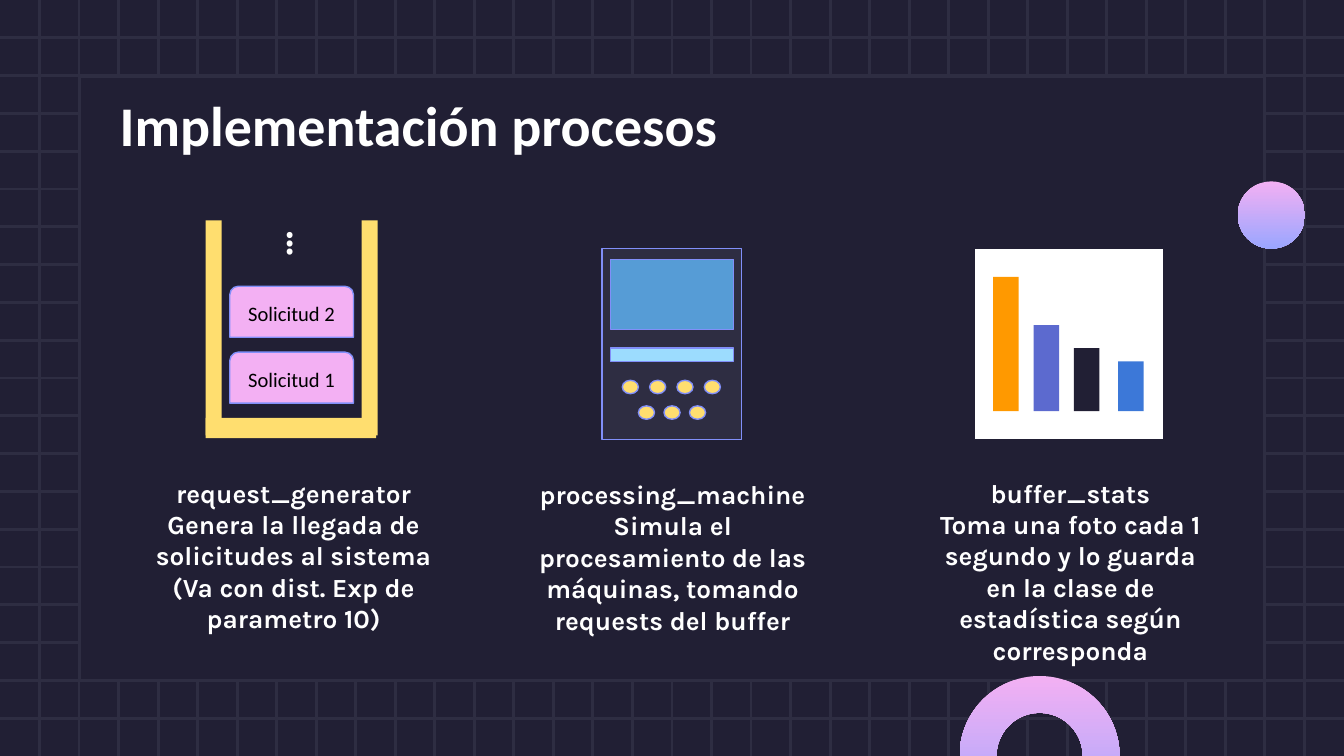
from dataclasses import dataclass

from lxml import etree
from pptx import Presentation
from pptx.dml.color import RGBColor
from pptx.enum.shapes import MSO_CONNECTOR as Connector, MSO_SHAPE as Shape
from pptx.enum.text import MSO_ANCHOR as Anchor, MSO_AUTO_SIZE as AutoSize, PP_ALIGN as Align
from pptx.oxml.ns import qn
from pptx.util import Inches, Pt


@dataclass(frozen=True)
class Theme:
    """Colours, fonts and type sizes of the slide."""
    background: str = "211F34"
    grid: str = "2E2D42"
    white: str = "FFFFFF"
    black: str = "000000"
    pink: str = "F3B0F3"
    lilac: str = "9AA6FF"
    outline: str = "818FF9"
    yellow: str = "FFDE6F"
    screen: str = "569CD6"
    slot: str = "9CDCFE"
    bars: tuple = ("FF9900", "5C6ACF", "211F34", "3C78D8")
    heading_font: str = "Calibri"
    body_font: str = "Karla"
    title_size: int = 30
    dots_size: int = 20
    body_size: int = 14
    label_size: int = 11


THEME = Theme()
WIDTH = 10
HEIGHT = WIDTH * 9 / 16
COLUMNS, ROWS = 34, 20
DESCRIPTIONS = [
    ((1.05, 3.45), ["request_generator", "Genera la llegada de solicitudes al sistema",
                    "(Va con dist. Exp de parametro 10)"]),
    ((6.83, 3.45), ["buffer_stats", "Toma una foto cada 1 segundo y lo guarda en la clase de "
                                    "estadística según corresponda"]),
    ((3.87, 3.46), ["processing_machine", "Simula el procesamiento de las máquinas, tomando "
                                          "requests del buffer"]),
]


def color(value):
    """Return an RGB colour from its hexadecimal text."""
    return RGBColor.from_string(value)


def set_attributes(target, values):
    """Set every attribute named in a dict of format values."""
    for name, value in values.items():
        setattr(target, name, value)


def place(shape, left, top, width, height):
    """Move and size a shape in inches."""
    box = {"left": left, "top": top, "width": width, "height": height}
    set_attributes(shape, {name: Inches(value) for name, value in box.items()})


def write_paragraph(paragraph, text, font, size, ink, bold=False, **layout):
    """Write one formatted run and set the paragraph layout."""
    set_attributes(paragraph, layout)
    run = paragraph.add_run()
    run.text = text
    set_attributes(run.font, {"name": font, "size": Pt(size), "bold": bold})
    run.font.color.rgb = color(ink)


def format_frame(frame, anchor=Anchor.TOP, auto_size=AutoSize.NONE):
    """Give a text frame even margins, wrapping and an anchor."""
    margins = {f"margin_{side}": Inches(0.1) for side in ("left", "top", "right", "bottom")}
    set_attributes(frame, {**margins, "word_wrap": True, "vertical_anchor": anchor,
                           "auto_size": auto_size})


def add_line(slide, start, end):
    """Add one background grid line."""
    points = [Inches(value) for value in (*start, *end)]
    line = slide.shapes.add_connector(Connector.STRAIGHT, *points)
    line.line.color.rgb = color(THEME.grid)
    line.line.width = Pt(1.5)
    etree.SubElement(line.element.spPr, qn("a:effectLst"))


def add_figure(slide, kind, box, fill, outline=None, line_width=0.75):
    """Add a preset shape with a plain fill and an optional outline."""
    shape = slide.shapes.add_shape(kind, *[Inches(value) for value in box])
    shape.shadow.inherit = False
    shape.fill.solid()
    shape.fill.fore_color.rgb = color(fill)
    if outline:
        shape.line.color.rgb = color(outline)
        shape.line.width = Pt(line_width)
    else:
        shape.line.fill.background()
    return shape


def add_gradient_figure(slide, kind, box):
    """Add a shape that fades from pink down to lilac."""
    shape = add_figure(slide, kind, box, THEME.pink)
    shape.fill.gradient()
    shape.fill.gradient_angle = 270
    for stop, value in zip(shape.fill.gradient_stops, (THEME.pink, THEME.lilac)):
        stop.color.rgb = color(value)
    return shape


def bring_forward(shape):
    """Move a shape to the front."""
    shape.element.getparent().append(shape.element)


def add_backdrop(slide):
    """Draw the grid, the central panel and the ring."""
    for row in range(1, ROWS):
        y = row * HEIGHT / ROWS
        add_line(slide, (0, y), (WIDTH, y))
    for column in range(1, COLUMNS):
        x = column * WIDTH / COLUMNS
        add_line(slide, (x, 0), (x, HEIGHT))
    add_figure(slide, Shape.RECTANGLE, (0.59, 0.57, 8.82, 4.49), THEME.background, THEME.grid, 1.5)
    ring = add_gradient_figure(slide, Shape.BLOCK_ARC, (7.14, 5.03, 1.19, 1.19))
    for index, value in enumerate((108, 0.36, 0.23)):
        ring.adjustments[index] = value
    ring.element.spPr.get_or_add_xfrm().set("flipH", "1")


def fill_title(title):
    """Write the slide title."""
    bring_forward(title)
    place(title, 0.79, 0.57, 8.43, 0.63)
    format_frame(title.text_frame)
    write_paragraph(title.text_frame.paragraphs[0], "Implementación procesos", THEME.heading_font,
                    THEME.title_size, THEME.white, True, alignment=Align.LEFT)


def fill_description(placeholder, position, lines):
    """Write a process name and its description below."""
    bring_forward(placeholder)
    place(placeholder, *position, 2.27, 1.6)
    frame = placeholder.text_frame
    format_frame(frame)
    for index, text in enumerate(lines):
        paragraph = frame.add_paragraph() if index else frame.paragraphs[0]
        write_paragraph(paragraph, text, THEME.body_font, THEME.body_size, THEME.white, True,
                        alignment=Align.CENTER, line_spacing=1.0, space_before=Pt(0))
    for properties in placeholder.element.iter(qn("a:pPr")):
        properties.set("marL", "0")
        properties.set("indent", "0")
        etree.SubElement(properties, qn("a:buNone"))


def add_request_queue(slide):
    """Draw the container with its stacked requests."""
    for box in ((2.69, 1.64, 0.12, 1.6), (1.53, 1.64, 0.12, 1.6), (1.53, 3.11, 1.27, 0.15)):
        add_figure(slide, Shape.RECTANGLE, box, THEME.yellow)
    for number, top in enumerate((2.62, 2.13), start=1):
        request = add_figure(slide, Shape.ROUND_2_SAME_RECTANGLE, (1.71, top, 0.92, 0.38),
                             THEME.pink, THEME.outline)
        format_frame(request.text_frame, Anchor.MIDDLE)
        write_paragraph(request.text_frame.paragraphs[0], f"Solicitud {number}",
                        THEME.heading_font, THEME.label_size, THEME.black, alignment=Align.CENTER)
    dots = slide.shapes.add_textbox(*[Inches(value) for value in (2.05, 1.55, 0.39, 0.54)])
    dots.rotation = 90
    format_frame(dots.text_frame, auto_size=AutoSize.SHAPE_TO_FIT_TEXT)
    write_paragraph(dots.text_frame.paragraphs[0], "…", THEME.body_font, THEME.dots_size,
                    THEME.white, True)


def add_machine(slide):
    """Draw the processing machine with its two rows of buttons."""
    for box, fill in (((4.48, 1.85, 1.04, 1.42), THEME.grid),
                      ((4.54, 1.93, 0.92, 0.52), THEME.screen),
                      ((4.54, 2.59, 0.92, 0.1), THEME.slot)):
        add_figure(slide, Shape.RECTANGLE, box, fill, THEME.outline)
    for first, last, top, count in ((4.63, 5.24, 2.83, 4), (4.75, 5.13, 3.02, 3)):
        step = (last - first) / (count - 1)
        for index in range(count):
            add_figure(slide, Shape.OVAL, (first + index * step, top, 0.12, 0.1),
                       THEME.yellow, THEME.outline)


def add_statistics_icon(slide):
    """Draw the small bar icon on its white card."""
    add_figure(slide, Shape.RECTANGLE, (7.25, 1.85, 1.41, 1.42), THEME.white, THEME.background)
    sizes = ((7.39, 1), (7.69, 0.64), (7.99, 0.47), (8.32, 0.37))
    for (left, height), fill in zip(sizes, THEME.bars):
        add_figure(slide, Shape.RECTANGLE, (left, 3.06 - height, 0.19, height), fill)


def main():
    """Build and save the slide."""
    presentation = Presentation()
    set_attributes(presentation, {"slide_width": Inches(WIDTH), "slide_height": Inches(HEIGHT)})
    slide = presentation.slides.add_slide(presentation.slide_layouts.get_by_name("Comparison"))
    slide.background.fill.solid()
    slide.background.fill.fore_color.rgb = color(THEME.background)
    title, *bodies, spare = list(slide.placeholders)
    spare.element.getparent().remove(spare.element)
    add_backdrop(slide)
    fill_title(title)
    add_gradient_figure(slide, Shape.OVAL, (9.21, 1.35, 0.5, 0.5))
    add_request_queue(slide)
    add_machine(slide)
    add_statistics_icon(slide)
    for body, (position, lines) in zip(bodies, DESCRIPTIONS):
        fill_description(body, position, lines)
    presentation.save("out.pptx")


main()
